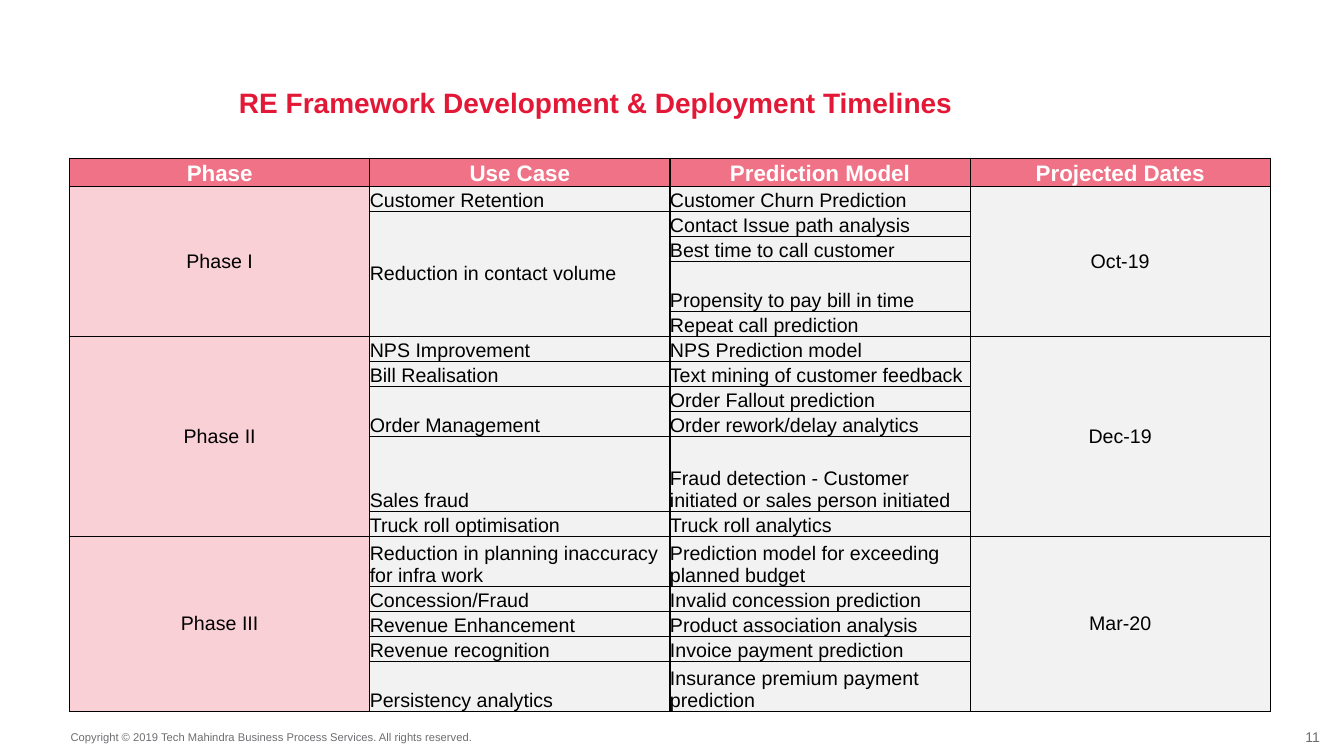
from lxml import etree
from pptx import Presentation
from pptx.dml.color import RGBColor
from pptx.enum.text import MSO_ANCHOR, PP_ALIGN
from pptx.oxml.ns import qn
from pptx.util import Inches, Pt

LEFT, CENTER, RIGHT = PP_ALIGN.LEFT, PP_ALIGN.CENTER, PP_ALIGN.RIGHT
TOP, MIDDLE, BOTTOM = MSO_ANCHOR.TOP, MSO_ANCHOR.MIDDLE, MSO_ANCHOR.BOTTOM

FONT = "Arial"
RED, ROSE, PINK = "E31837", "F07286", "FAD0D7"
PALE, GREY, BLACK, WHITE = "F2F2F2", "6D6E71", "000000", "FFFFFF"

TABLE_LEFT, TABLE_TOP, TABLE_WIDTH, TABLE_HEIGHT = 0.69, 1.57, 11.91, 5.49
HEADER_HEIGHT = 0.28

HEADERS = ["Phase", "Use Case", "Prediction Model", "Projected Dates"]
# Each prediction model carries its height in grid units.
PHASES = [
    ("Phase I", "Oct-19", [
        ("Customer Retention", [("Customer Churn Prediction", 1)]),
        ("Reduction in contact volume", [
            ("Contact Issue path analysis", 1),
            ("Best time to call customer", 1),
            ("Propensity to pay bill in time", 2),
            ("Repeat call prediction", 1)]),
    ]),
    ("Phase II", "Dec-19", [
        ("NPS Improvement", [("NPS Prediction model", 1)]),
        ("Bill Realisation", [("Text mining of customer feedback", 1)]),
        ("Order Management", [
            ("Order Fallout prediction", 1),
            ("Order rework/delay analytics", 1)]),
        ("Sales fraud", [
            ("Fraud detection - Customer initiated or sales person initiated", 3)]),
        ("Truck roll optimisation", [("Truck roll analytics", 1)]),
    ]),
    ("Phase III", "Mar-20", [
        ("Reduction in planning inaccuracy for infra work", [
            ("Prediction model for exceeding planned budget", 2)]),
        ("Concession/Fraud", [("Invalid concession prediction", 1)]),
        ("Revenue Enhancement", [("Product association analysis", 1)]),
        ("Revenue recognition", [("Invoice payment prediction", 1)]),
        ("Persistency analytics", [("Insurance premium payment prediction", 2)]),
    ]),
]


def color(hex_code):
    """Turn a hex string into a colour."""
    return RGBColor.from_string(hex_code)


def write(frame, text, size, hex_code, align=LEFT, bold=False):
    """Fill a text frame with one formatted paragraph and no insets."""
    frame.text = text
    para = frame.paragraphs[0]
    para.alignment = align
    for span in para.runs:
        span.font.name = FONT
        span.font.size = Pt(size)
        span.font.bold = bold
        span.font.color.rgb = color(hex_code)


def clear_insets(holder):
    """Remove the inner margins of a cell or text frame."""
    holder.margin_left = holder.margin_right = 0
    holder.margin_top = holder.margin_bottom = 0


def place(shape, left, top, width, height):
    """Position a shape in inches."""
    shape.left, shape.top = Inches(left), Inches(top)
    shape.width, shape.height = Inches(width), Inches(height)


def add_title(page, text):
    """Place and format the title placeholder."""
    title = page.shapes.title
    place(title, 2.37, 0.85, 7.5, 0.41)
    clear_insets(title.text_frame)
    title.text_frame.vertical_anchor = TOP
    write(title.text_frame, text, 20, RED, bold=True)


def add_footer(page, text, bounds, size, align, anchor):
    """Add one grey footer line."""
    box = page.shapes.add_textbox(*[Inches(length) for length in bounds])
    box.text_frame.word_wrap = False
    clear_insets(box.text_frame)
    box.text_frame.vertical_anchor = anchor
    write(box.text_frame, text, size, GREY, align)


def add_borders(cell):
    """Draw a thin black line on all four sides of a cell."""
    properties = cell._tc.get_or_add_tcPr()
    for side in ("a:lnL", "a:lnR", "a:lnT", "a:lnB"):
        line = etree.SubElement(properties, qn(side), w=str(Pt(1)))
        fill = etree.SubElement(line, qn("a:solidFill"))
        etree.SubElement(fill, qn("a:srgbClr"), val=BLACK)


def fill_cell(table, row, column, text, fill, align=LEFT, anchor=BOTTOM,
              rows=1, size=14, hex_code=BLACK, bold=False):
    """Write one cell, merged downwards over the given number of rows."""
    cell = table.cell(row, column)
    if rows > 1:
        cell.merge(table.cell(row + rows - 1, column))
    clear_insets(cell)
    cell.vertical_anchor = anchor
    for offset in range(rows):
        part = table.cell(row + offset, column)
        add_borders(part)
        part.fill.solid()
        part.fill.fore_color.rgb = color(fill)
    write(cell.text_frame, text, size, hex_code, align, bold)


def add_timeline(page):
    """Build the table of phases, use cases, models and dates."""
    units = [unit for _, _, cases in PHASES for _, models in cases for _, unit in models]
    frame = page.shapes.add_table(
        len(units) + 1, len(HEADERS), Inches(TABLE_LEFT), Inches(TABLE_TOP),
        Inches(TABLE_WIDTH), Inches(TABLE_HEIGHT))
    table = frame.table
    unit_height = (TABLE_HEIGHT - HEADER_HEIGHT) / sum(units)
    heights = [HEADER_HEIGHT] + [unit * unit_height for unit in units]
    for table_row, height in zip(table.rows, heights):
        table_row.height = Inches(height)
    for column, header in enumerate(HEADERS):
        fill_cell(table, 0, column, header, ROSE, CENTER, size=16, hex_code=WHITE, bold=True)

    row = 1
    for phase, date, cases in PHASES:
        phase_rows = sum(len(models) for _, models in cases)
        fill_cell(table, row, 0, phase, PINK, CENTER, MIDDLE, phase_rows)
        fill_cell(table, row, 3, date, PALE, CENTER, MIDDLE, phase_rows)
        for case, models in cases:
            anchor = MIDDLE if len(models) > 2 else BOTTOM
            fill_cell(table, row, 1, case, PALE, anchor=anchor, rows=len(models))
            for model, _ in models:
                fill_cell(table, row, 2, model, PALE)
                row += 1


def main():
    """Build and save the slide."""
    deck = Presentation()
    deck.slide_width, deck.slide_height = Inches(13.33), Inches(7.5)
    page = deck.slides.add_slide(deck.slide_layouts[5])
    add_footer(page, "11", (12.92, 7.23, 0.17, 0.17), 10, RIGHT, MIDDLE)
    add_footer(
        page,
        "Copyright © 2019 Tech Mahindra Business Process Services. All rights reserved.",
        (0.7, 7.25, 4.02, 0.13), 8, LEFT, TOP)
    add_timeline(page)
    add_title(page, "RE Framework Development & Deployment Timelines")
    deck.save("out.pptx")


if __name__ == "__main__":
    main()
